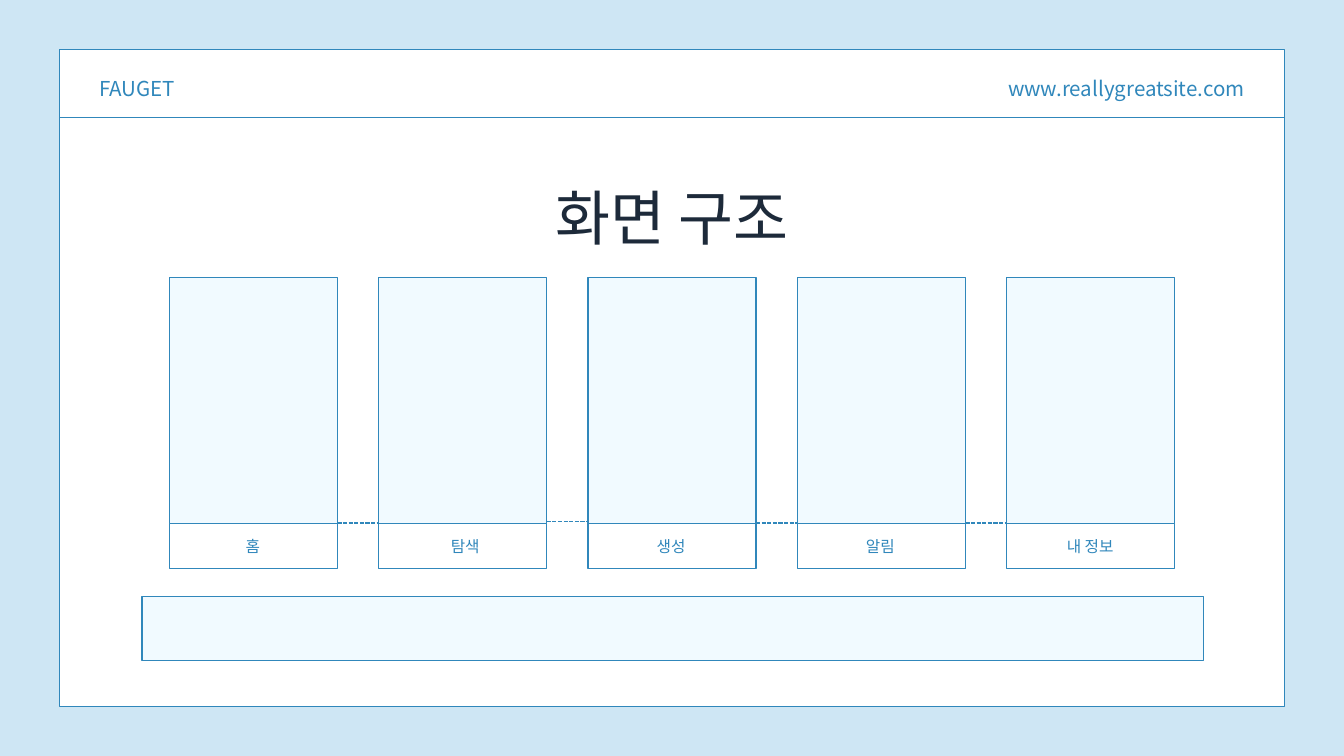
from dataclasses import dataclass
from itertools import pairwise

from lxml.etree import SubElement
from pptx import Presentation
from pptx.dml.color import RGBColor
from pptx.enum.dml import MSO_LINE
from pptx.enum.shapes import MSO_CONNECTOR, MSO_SHAPE
from pptx.enum.text import PP_ALIGN
from pptx.oxml.ns import qn
from pptx.util import Pt

PX = 9525  # EMU per px, 96 px to the inch
FONT = "Noto Sans CJK KR"
COLORS = {"sky": "CEE6F4", "paper": "FFFFFF", "blue": "3087BB",
          "pale": "F1FAFF", "ink": "1D2A3A"}

CARD_LEFT, CARD_PITCH, CARD_W = 242, 299, 240
PREVIEW_TOP, PREVIEW_H = 396, 352
TAB_TOP, TAB_H = 577, 235


@dataclass(frozen=True)
class Box:
    left: int
    top: int
    width: int
    height: int

    def emu(self) -> tuple[int, ...]:
        return tuple(v * PX for v in (self.left, self.top, self.width, self.height))


@dataclass(frozen=True)
class TextStyle:
    size: float
    spacing: float
    color: str = "blue"
    align: PP_ALIGN = PP_ALIGN.LEFT


@dataclass(frozen=True)
class Screen:
    name: str
    label_w: int
    label_shift: int = 0
    link_y: int = 747  # height of the dashed link to the next screen


HEADER = TextStyle(22, 30.8)
HEADER_RIGHT = TextStyle(22, 30.8, align=PP_ALIGN.RIGHT)
TITLE = TextStyle(64, 89.6, "ink", PP_ALIGN.CENTER)
LABEL = TextStyle(16.8, 24.4, align=PP_ALIGN.JUSTIFY)

SCREENS = [Screen("홈", 22), Screen("탐색", 44, 5, 745), Screen("생성", 44),
           Screen("알림", 44), Screen("내 정보", 74, 3)]


def rgb(name: str) -> RGBColor:
    return RGBColor.from_string(COLORS[name])


def set_attrs(target, values: dict) -> None:
    for name, value in values.items():
        setattr(target, name, value)


def add_panel(s, box: Box, fill: str) -> None:
    sp = s.shapes.add_shape(MSO_SHAPE.RECTANGLE, *box.emu())
    sp.shadow.inherit = False
    sp.fill.solid()
    sp.fill.fore_color.rgb = rgb(fill)
    sp.line.color.rgb = rgb("blue")
    sp.line.width = Pt(1.5)


def add_rule(s, x1: int, x2: int, y: int, dash: MSO_LINE | None = None) -> None:
    """Draw a horizontal line, solid unless a dash is given."""
    ln = s.shapes.add_connector(MSO_CONNECTOR.STRAIGHT, x1 * PX, y * PX, x2 * PX, y * PX)
    ln.line.color.rgb = rgb("blue")
    set_attrs(ln.line, {"width": Pt(1.5), "dash_style": dash})
    SubElement(ln._element.spPr, qn("a:effectLst"))


def add_text(s, box: Box, text: str, style: TextStyle) -> None:
    tf = s.shapes.add_textbox(*box.emu()).text_frame
    set_attrs(tf, {"word_wrap": True, "margin_left": 0, "margin_right": 0,
                   "margin_top": 0, "margin_bottom": 0})
    p = tf.paragraphs[0]
    set_attrs(p, {"alignment": style.align, "line_spacing": Pt(style.spacing)})
    r = p.add_run()
    r.text = text
    set_attrs(r.font, {"size": Pt(style.size), "name": FONT})
    r.font.color.rgb = rgb(style.color)
    SubElement(r._r.get_or_add_rPr(), qn("a:ea"), typeface=FONT)


def add_screen(s, left: int, screen: Screen) -> None:
    add_panel(s, Box(left, TAB_TOP, CARD_W, TAB_H), "paper")
    add_panel(s, Box(left, PREVIEW_TOP, CARD_W, PREVIEW_H), "pale")
    label_left = left + (CARD_W - screen.label_w) // 2 + screen.label_shift
    add_text(s, Box(label_left, 761, screen.label_w, 32), screen.name, LABEL)


def main() -> None:
    prs = Presentation()
    set_attrs(prs, {"slide_width": 1920 * PX, "slide_height": 1080 * PX})
    s = prs.slides.add_slide(prs.slide_layouts[6])
    s.background.fill.solid()
    s.background.fill.fore_color.rgb = rgb("sky")

    add_panel(s, Box(85, 71, 1750, 938), "paper")
    add_rule(s, 85, 1835, 168)
    add_text(s, Box(142, 102, 309, 40), "FAUGET", HEADER)
    add_text(s, Box(1383, 102, 395, 40), "www.reallygreatsite.com", HEADER_RIGHT)
    add_text(s, Box(666, 241, 588, 114), "화면 구조", TITLE)

    lefts = [CARD_LEFT + i * CARD_PITCH for i in range(len(SCREENS))]
    for left, screen in zip(lefts, SCREENS):
        add_screen(s, left, screen)
    for (left, next_left), screen in zip(pairwise(lefts), SCREENS):
        add_rule(s, left + CARD_W, next_left, screen.link_y, MSO_LINE.SQUARE_DOT)

    add_panel(s, Box(203, 852, 1516, 92), "pale")
    prs.save("out.pptx")


if __name__ == "__main__":
    main()
